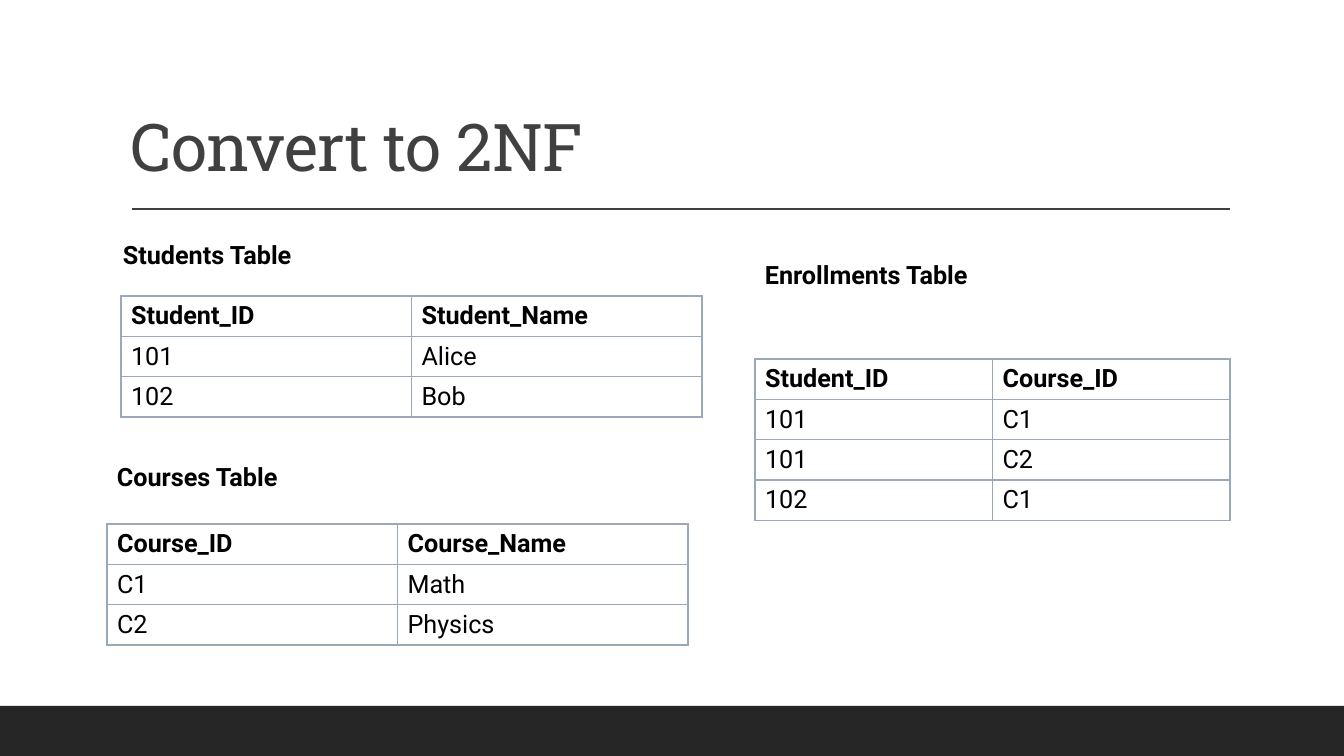
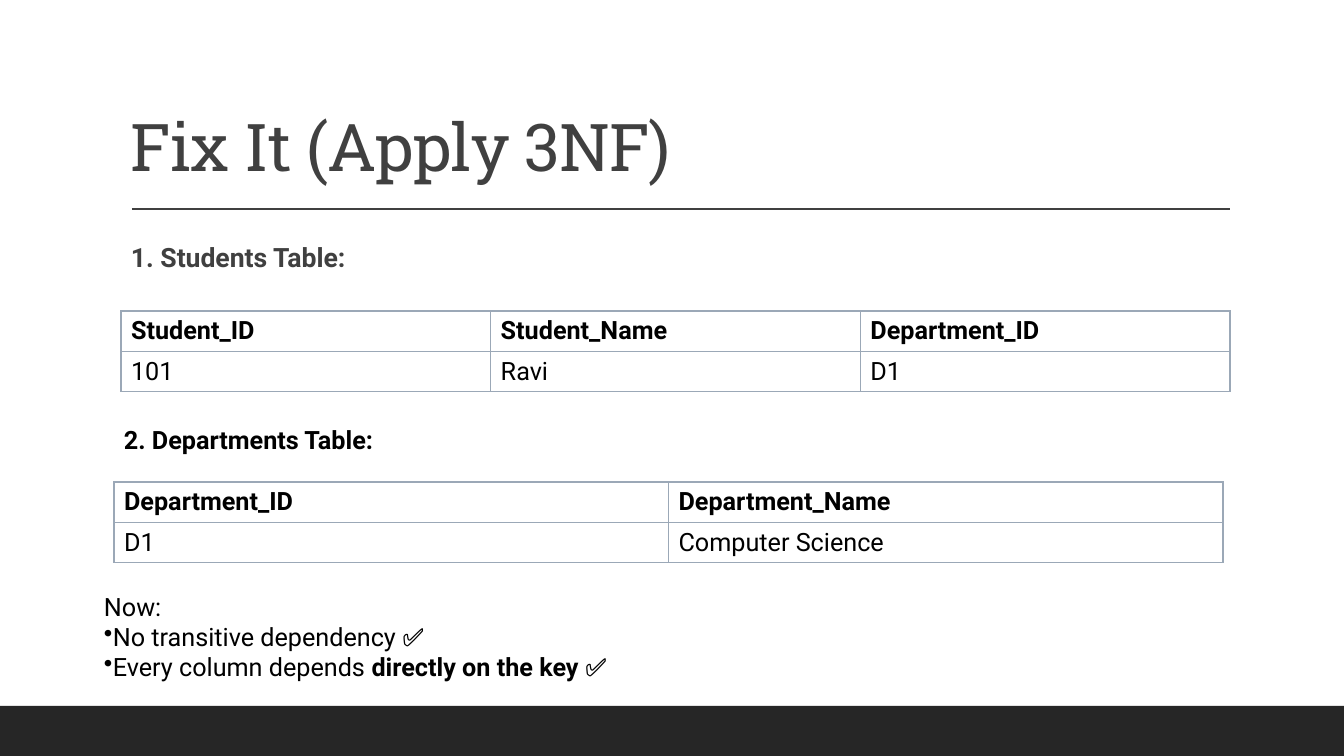
"""Build two slides on converting tables to 2NF and 3NF."""
from lxml import etree
from pptx import Presentation
from pptx import util as u
from pptx.dml.color import RGBColor
from pptx.enum import shapes, text
from pptx.oxml import ns

SCALE = 914400 / 100.8
COLORS = {"band": "262626", "dark": "404040", "black": "000000", "border": "9BA8B7"}
ROW_HEIGHT = 40

SLIDES = [
    {
        "title": "Convert to 2NF",
        "tables": [
            (121, 296, 581, [["Student_ID", "Student_Name"], ["101", "Alice"], ["102", "Bob"]]),
            (107, 524, 581, [["Course_ID", "Course_Name"], ["C1", "Math"], ["C2", "Physics"]]),
            (755, 359, 475, [["Student_ID", "Course_ID"], ["101", "C1"], ["101", "C2"], ["102", "C1"]]),
        ],
        "labels": [
            ((113, 234, 274, 40), "**Students Table**", {}),
            ((107, 456, 240, 40), "**Courses Table**", {}),
            ((755, 254, 323, 40), "**Enrollments Table**", {}),
        ],
    },
    {
        "title": "Fix It (Apply 3NF)",
        "tables": [
            (121, 311, 1109, [["Student_ID", "Student_Name", "Department_ID"], ["101", "Ravi", "D1"]]),
            (114, 482, 1109, [["Department_ID", "Department_Name"], ["D1", "Computer Science"]]),
        ],
        "labels": [
            ((121, 233, 1109, 50), "**1. Students Table:**", {"size": 19, "color": "dark", "spacing": 1.1}),
            ((114, 419, 672, 40), "**2. Departments Table:**", {}),
            (
                (94, 586, 672, 102),
                "Now:\n•No transitive dependency ✅\n•Every column depends **directly on the key** ✅",
                {},
            ),
        ],
    },
]


def px(length):
    """Turn pixels into EMU."""
    return u.Emu(round(length * SCALE))


def write_text(frame, content, size=18, font="Roboto", color="black", spacing=1.0, tracking=0,
               anchor=text.MSO_ANCHOR.TOP):
    """Fill a frame line by line; ** marks bold and a leading • makes a bullet."""
    frame.word_wrap = True
    frame.vertical_anchor = anchor
    for number, line in enumerate(content.split("\n")):
        para = frame.add_paragraph() if number else frame.paragraphs[0]
        para.line_spacing = spacing
        if line.startswith("•"):
            etree.SubElement(para._p.get_or_add_pPr(), ns.qn("a:buChar"), char="•")
        for index, part in enumerate(line.removeprefix("•").split("**")):
            if not part:
                continue
            span = para.add_run()
            span.text = part
            span.font.size = u.Pt(size)
            span.font.name = font
            span.font.bold = index % 2 == 1
            span.font.color.rgb = RGBColor.from_string(COLORS[color])
            if tracking:
                span.font._element.set("spc", str(tracking))


deck = Presentation()
deck.slide_width, deck.slide_height = px(1344), px(756)

for content in SLIDES:
    page = deck.slides.add_slide(deck.slide_layouts[6])

    band = page.shapes.add_shape(shapes.MSO_SHAPE.RECTANGLE, px(0), px(706), px(1344), px(50))
    band.shadow.inherit = False
    band.fill.solid()
    band.fill.fore_color.rgb = RGBColor.from_string(COLORS["band"])
    band.line.fill.background()

    rule = page.shapes.add_connector(shapes.MSO_CONNECTOR.STRAIGHT, px(132), px(209), px(1230), px(209))
    rule.line.color.rgb = RGBColor.from_string(COLORS["dark"])
    rule.line.width = u.Pt(1)
    etree.SubElement(rule._element.spPr, ns.qn("a:effectLst"))

    title = page.shapes.add_textbox(px(121), px(31), px(1109), px(160))
    write_text(title.text_frame, content["title"], size=47, font="Roboto Slab", color="dark",
               spacing=0.9, tracking=-50, anchor=text.MSO_ANCHOR.BOTTOM)

    for left, top, width, rows in content["tables"]:
        columns = len(rows[0])
        frame = page.shapes.add_table(len(rows), columns, px(left), px(top), px(width),
                                      px(ROW_HEIGHT * len(rows)))
        table = frame.table
        table.first_row = table.horz_banding = False
        for row_index, row in enumerate(rows):
            for column_index, value in enumerate(row):
                cell = table.cell(row_index, column_index)
                write_text(cell.text_frame, value if row_index else f"**{value}**")
                cell.vertical_anchor = text.MSO_ANCHOR.MIDDLE
                properties = cell._tc.get_or_add_tcPr()
                for side in ("lnL", "lnR", "lnT", "lnB"):
                    edge = etree.SubElement(properties, ns.qn(f"a:{side}"), w=str(u.Pt(1)))
                    fill = etree.SubElement(edge, ns.qn("a:solidFill"))
                    etree.SubElement(fill, ns.qn("a:srgbClr"), val=COLORS["border"])
                cell.fill.background()

    for bounds, label, style in content["labels"]:
        box = page.shapes.add_textbox(*map(px, bounds))
        write_text(box.text_frame, label, **style)

deck.save("out.pptx")
